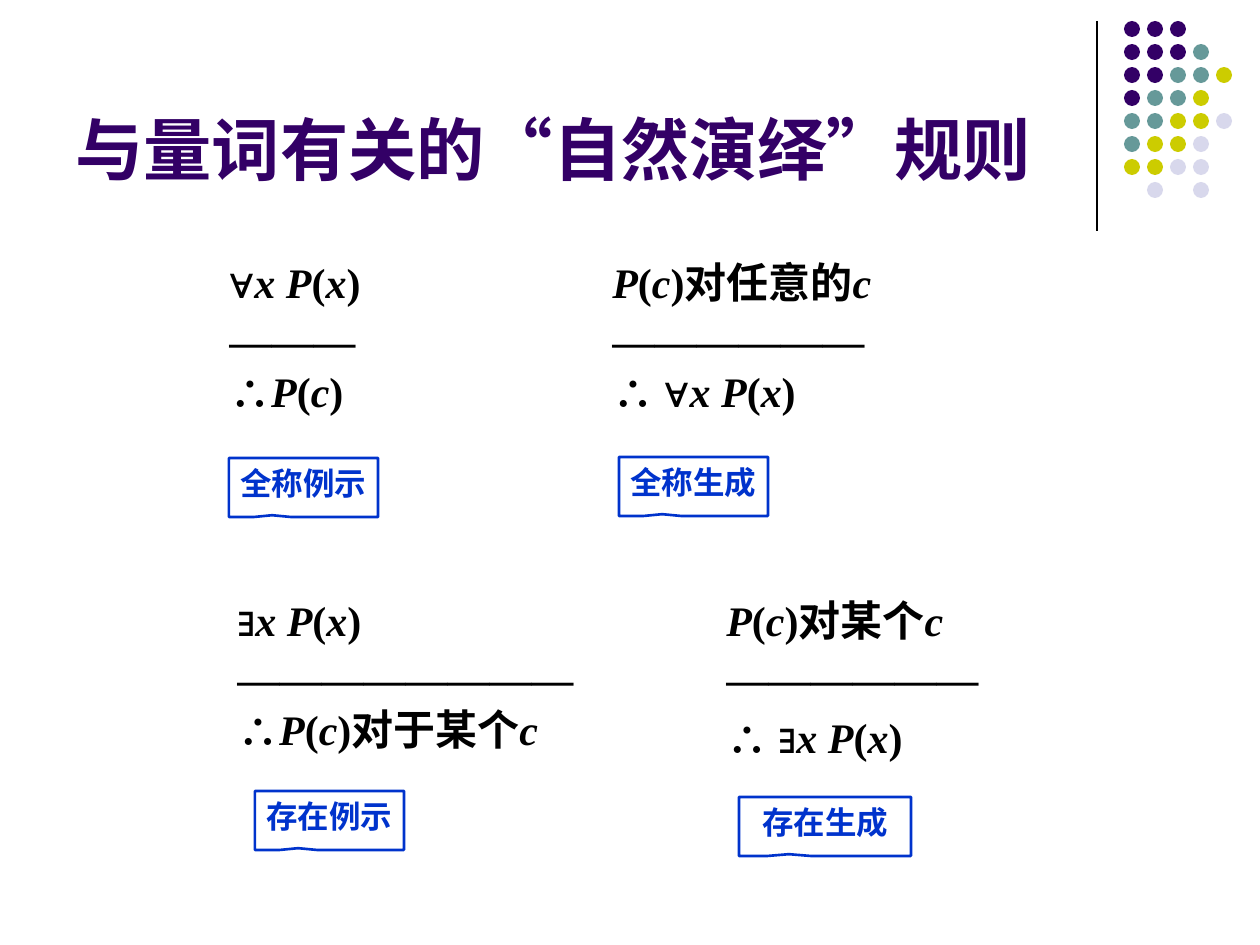
from itertools import groupby

from lxml import etree
from pptx import Presentation
from pptx.dml.color import RGBColor
from pptx.enum.shapes import MSO_CONNECTOR as Link, MSO_SHAPE as Shape
from pptx.enum.text import MSO_ANCHOR as Anchor, PP_ALIGN as Align
from pptx.oxml.ns import qn
from pptx.util import Pt

PX = 914400 // 126


def paint(fmt, hue):
    """Give a fill or a font a solid colour."""
    if hasattr(fmt, "solid"):
        fmt.solid()
        fmt.fore_color.rgb = RGBColor.from_string(hue)
    else:
        fmt.color.rgb = RGBColor.from_string(hue)


def write(para, text, hue, **look):
    run = para.add_run()
    run.text = text
    paint(run.font, hue)
    for key, val in look.items():
        setattr(run.font, key, val)


prs = Presentation()
prs.slide_width, prs.slide_height = 1260 * PX, 945 * PX
slide = prs.slides.add_slide(prs.slide_layouts[6])
shapes = slide.shapes

# Rule and dot grid in the corner
rule = shapes.add_connector(Link.STRAIGHT, 1097 * PX, 21 * PX, 1097 * PX, 231 * PX)
paint(rule.line.fill, "000000")
rule.line.width = Pt(0.75)
etree.SubElement(rule._element.spPr, qn("a:effectLst"))

HUES = {"p": "330066", "t": "669999", "y": "CCCC00", "l": "D8D8EC"}
DOTS = ["ppp", "pppt", "pptty", "ptty", "ttyyl", "tyyl", "yyll", " l l"]
for row, marks in enumerate(DOTS):
    for col, mark in enumerate(marks):
        if mark in HUES:
            dot = shapes.add_shape(Shape.OVAL, (1124 + 23 * col) * PX,
                                   (21 + 23 * row) * PX, 16 * PX, 16 * PX)
            dot.shadow.inherit = False
            paint(dot.fill, HUES[mark])
            dot.line.fill.background()

# Title
title = shapes.add_textbox(63 * PX, 16 * PX, 1040 * PX, 179 * PX).text_frame
title.word_wrap = True
title.vertical_anchor = Anchor.BOTTOM
write(title.paragraphs[0], "与量词有关的“自然演绎”规则", "330066",
      name="Karla", size=Pt(39), bold=True)

# Inference rules: place and width, lines, space before the last line
RULES = [
    (217, 250, 220, ["∀x P(x)", "———", "∴P(c)"], 0),
    (600, 250, 365, ["P(c)对任意的c", "——————", "∴ ∀x P(x)"], 0),
    (225, 588, 400, ["∃x P(x)", "————————", "∴P(c)对于某个c"], 0),
    (714, 588, 365, ["P(c)对某个c", "——————", "∴ ∃x P(x)"], 4.8),
]
for left, top, wide, lines, last in RULES:
    frame = shapes.add_textbox(left * PX, top * PX, wide * PX, 200 * PX).text_frame
    frame.word_wrap = True
    for num, (line, gap) in enumerate(zip(lines, (0, 4.8, last))):
        para = frame.add_paragraph() if num else frame.paragraphs[0]
        para.space_before = Pt(gap)
        for slant, part in groupby(line, lambda sign: sign in "xPc "):
            write(para, "".join(part), "000000", name="Times New Roman",
                  size=Pt(24), bold=True, italic=slant)

# Rule names
NAMES = [
    (229, 458, 149, "全称例示"),
    (619, 457, 149, "全称生成"),
    (255, 791, 149, "存在例示"),
    (739, 797, 172, "存在生成"),
]
for left, top, wide, name in NAMES:
    box = shapes.add_shape(Shape.RECTANGULAR_CALLOUT, left * PX, top * PX,
                           wide * PX, 59 * PX)
    box.shadow.inherit = False
    box.adjustments[0], box.adjustments[1] = -0.21, 0.47
    paint(box.fill, "FFFFFF")
    paint(box.line.fill, "0033CC")
    box.line.width = Pt(1.5)
    frame = box.text_frame
    frame.word_wrap = False
    frame.vertical_anchor = Anchor.TOP
    frame.paragraphs[0].alignment = Align.CENTER
    write(frame.paragraphs[0], name, "0033CC", name="Karla", size=Pt(18), bold=True)

prs.save("out.pptx")
